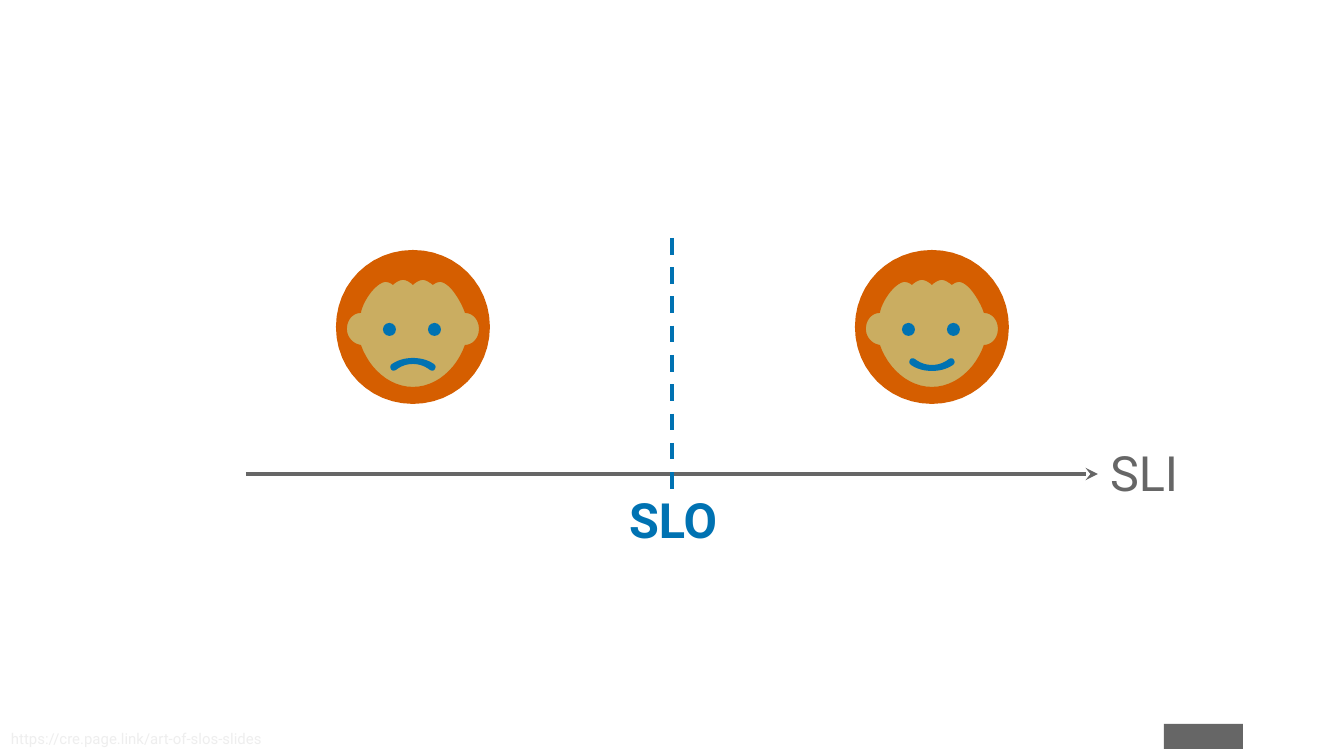
from lxml.etree import SubElement
from pptx import Presentation
from pptx.dml.color import RGBColor
from pptx.enum.dml import MSO_LINE
from pptx.enum.shapes import MSO_CONNECTOR, MSO_SHAPE
from pptx.oxml.ns import qn
from pptx.util import Emu, Pt

PX = 914400 / 134.4
BLUE = RGBColor(0x00, 0x72, 0xB2)
ORANGE = RGBColor(0xD5, 0x5E, 0x00)
SKIN = RGBColor(0xCA, 0xAD, 0x61)
GRAY = RGBColor(0x66, 0x66, 0x66)
PALE_GRAY = RGBColor(0xEE, 0xEE, 0xEE)

# Closed curves in face px: a start point, then (control, control, end) triples
FACE_OPENING = [
    (129, 95),
    (121, 118), (101, 137), (77, 137), (53, 137), (33, 118), (25, 95),
    (17, 94), (11, 87), (11, 79), (11, 70), (17, 63), (25, 63),
    (26, 54), (38, 34), (49, 32), (54, 32), (57, 35), (57, 35),
    (57, 35), (62, 30), (67, 30), (72, 30), (77, 35), (77, 35),
    (77, 35), (82, 30), (87, 30), (91, 30), (97, 35), (97, 35),
    (97, 35), (100, 32), (105, 32), (116, 34), (127, 56), (129, 63),
    (137, 63), (143, 70), (143, 79), (143, 88), (137, 95), (129, 95),
]
SMILE = [
    (94, 109),
    (89, 113), (83, 115), (77, 115), (71, 115), (65, 113), (60, 109),
    (58, 108), (56, 108), (55, 110), (54, 112), (54, 113), (56, 115),
    (62, 119), (69, 121), (77, 121), (85, 121), (92, 119), (98, 115),
    (100, 113), (100, 112), (99, 110), (98, 108), (96, 108), (94, 109),
]
FROWN = [(x, 229 - y) for x, y in SMILE]
HAIR_CIRCLE = [
    (77, 0),
    (34, 0), (0, 34), (0, 77), (0, 120), (34, 154), (77, 154),
    (120, 154), (154, 120), (154, 77), (154, 34), (120, 0), (77, 0),
]


def px(value):
    return Emu(round(value * PX))


def flatten(curve, steps=12):
    """Turn a chain of cubic curves into a list of points."""
    points = [curve[0]]
    for index in range(1, len(curve), 3):
        start, first, second, end = curve[index - 1:index + 3]
        for step in range(1, steps + 1):
            t = step / steps
            u = 1 - t
            points.append(tuple(
                u**3 * a + 3 * u * u * t * b + 3 * u * t * t * c + t**3 * d
                for a, b, c, d in zip(start, first, second, end)))
    return points


def paint(shape, color):
    shape.fill.solid()
    shape.fill.fore_color.rgb = color
    shape.line.fill.background()
    shape.shadow.inherit = False


def add_preset(slide, kind, left, top, width, height, color):
    shape = slide.shapes.add_shape(kind, px(left), px(top), px(width), px(height))
    paint(shape, color)


def add_outline(slide, left, top, curves, color):
    builder = None
    for curve in curves:
        points = [(px(left + x), px(top + y)) for x, y in flatten(curve)]
        if builder is None:
            builder = slide.shapes.build_freeform(*points[0], scale=1.0)
        else:
            builder.move_to(*points[0])
        builder.add_line_segments(points[1:], close=True)
    paint(builder.convert_to_shape(), color)


def add_line(slide, start, end, color, dash=None, arrow=None):
    line = slide.shapes.add_connector(
        MSO_CONNECTOR.STRAIGHT, *map(px, start), *map(px, end))
    line.line.color.rgb = color
    line.line.width = Pt(2.25)
    if dash:
        line.line.dash_style = dash
    if arrow:
        SubElement(line.line._get_or_add_ln(), qn("a:tailEnd"), type=arrow)
    SubElement(line._element.spPr, qn("a:effectLst"))


def add_text(slide, text, left, top, width, height, *, size, color, bold=False, margin=0):
    box = slide.shapes.add_textbox(px(left), px(top), px(width), px(height))
    frame = box.text_frame
    frame.word_wrap = True
    frame.margin_left = frame.margin_top = px(margin)
    frame.margin_right = frame.margin_bottom = 0
    run = frame.paragraphs[0].add_run()
    run.text = text
    run.font.name = "Roboto"
    run.font.size = Pt(size)
    run.font.bold = bold
    run.font.color.rgb = color


def add_face(slide, left, top, mouth):
    add_preset(slide, MSO_SHAPE.OVAL, left + 4, top + 4, 145, 145, SKIN)
    add_outline(slide, left, top, [mouth], BLUE)
    for eye_left in (47, 92):
        add_preset(slide, MSO_SHAPE.OVAL, left + eye_left, top + 73, 13, 13, BLUE)
    add_outline(slide, left, top, [HAIR_CIRCLE, FACE_OPENING], ORANGE)


def add_axis(slide, left, top, width):
    """Indicator axis with the objective marked at its middle."""
    middle = left + width // 2
    add_line(slide, (left, top), (left + width, top), GRAY, arrow="stealth")
    add_line(slide, (middle, top - 236), (middle, top + 22), BLUE, dash=MSO_LINE.DASH)
    add_text(slide, "SLO", middle - 56, top + 3, 117, 83,
             size=26, color=BLUE, bold=True, margin=13)
    add_text(slide, "SLI", left + width - 1, top - 44, 117, 83,
             size=26, color=GRAY, margin=13)


def add_footer(slide, left, top, width):
    add_text(slide, "https://cre.page.link/art-of-slos-slides", left, top + 6, 300, 18,
             size=8, color=PALE_GRAY)
    # Plain mark at the right end
    add_preset(slide, MSO_SHAPE.RECTANGLE, left + width - 79, top, 79, 25, GRAY)


def main():
    presentation = Presentation()
    presentation.slide_width = px(1344)
    presentation.slide_height = px(756)
    slide = presentation.slides.add_slide(presentation.slide_layouts[6])

    add_footer(slide, 11, 724, 1232)
    add_face(slide, 855, 250, SMILE)
    add_axis(slide, 246, 474, 852)
    add_face(slide, 336, 250, FROWN)

    presentation.save("out.pptx")


if __name__ == "__main__":
    main()
